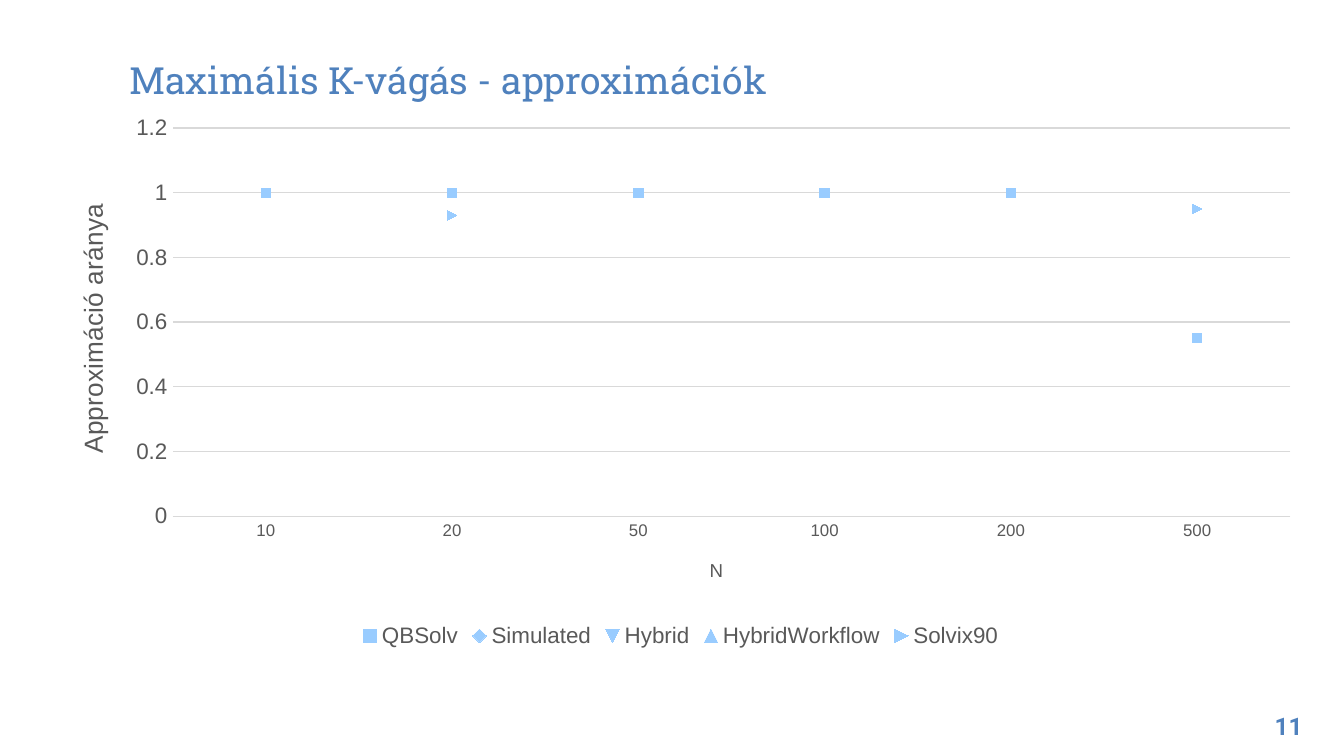
"""Build the slide on approximation ratios for the maximum K-cut problem."""
import dataclasses
import typing

import lxml.etree
import pptx
import pptx.chart.data
import pptx.dml.color
import pptx.enum.chart
import pptx.enum.text
import pptx.oxml.ns
import pptx.util

Inches = pptx.util.Inches
qn = pptx.oxml.ns.qn


@dataclasses.dataclass(frozen=True)
class Theme:
    accent: str = "4F81BD"
    marker: str = "99CCFF"
    grey: str = "595959"
    grid: str = "D9D9D9"
    title_font: str = "Roboto Slab"
    number_font: str = "Roboto"
    chart_font: str = "Arial"
    title_size: int = 20
    value_title_size: int = 14
    number_size: int = 13
    label_size: int = 12
    chart_size: int = 10
    category_size: int = 9
    marker_size: int = 5


class Box(typing.NamedTuple):
    left: float
    top: float
    width: float
    height: float

    def lengths(self) -> list:
        return [Inches(value) for value in self]


class Solver(typing.NamedTuple):
    name: str
    ratios: tuple


THEME = Theme()
SIZES = ("10", "20", "50", "100", "200", "500")
ANNEALED = (1, 1, 1, 1, 1, 0.55)
SOLVERS = [Solver(name, ANNEALED) for name in
           ("QBSolv", "Simulated", "Hybrid", "HybridWorkflow")]
SOLVERS.append(Solver("Solvix90", (1, 0.93, 1, 1, 1, 0.95)))


def color(value: str) -> pptx.dml.color.RGBColor:
    return pptx.dml.color.RGBColor.from_string(value)


def style_font(font, *, name: str, size: int, shade: str, bold: bool = False) -> None:
    font.name = name
    font.size = pptx.util.Pt(size)
    font.bold = bold
    font.color.rgb = color(shade)


def write_text(frame, text: str, *, align=pptx.enum.text.PP_ALIGN.LEFT,
               anchor=pptx.enum.text.MSO_ANCHOR.TOP, **font) -> None:
    frame.word_wrap = True
    frame.auto_size = pptx.enum.text.MSO_AUTO_SIZE.NONE
    frame.vertical_anchor = anchor
    frame.margin_left = frame.margin_right = Inches(0.1)
    frame.margin_top = frame.margin_bottom = Inches(0.1)
    para = frame.paragraphs[0]
    para.alignment = align
    span = para.add_run()
    span.text = text
    style_font(span.font, **font)


def set_layout(owner, **fractions: float) -> None:
    for old in owner.findall(qn("c:layout")):
        owner.remove(old)
    layout = lxml.etree.Element(qn("c:layout"))
    manual = lxml.etree.SubElement(layout, qn("c:manualLayout"))
    settings = {"xMode": "edge", "yMode": "edge", **fractions}
    if "w" in fractions:
        settings = {"layoutTarget": "inner", **settings}
    for key, value in settings.items():
        lxml.etree.SubElement(manual, qn(f"c:{key}")).set("val", str(value))
    owner.insert(0 if owner.find(qn("c:tx")) is None else 1, layout)


def style_axis(axis, title: str, *, size: int, title_size: int,
               x: float, y: float) -> None:
    axis.major_tick_mark = axis.minor_tick_mark = pptx.enum.chart.XL_TICK_MARK.NONE
    style_font(axis.tick_labels.font, name=THEME.chart_font, size=size, shade=THEME.grey)
    span = axis.axis_title.text_frame.paragraphs[0].add_run()
    span.text = title
    style_font(span.font, name=THEME.chart_font, size=title_size, shade=THEME.grey)
    set_layout(axis.axis_title._element, x=x, y=y)


def style_line(line) -> None:
    line.color.rgb = color(THEME.grid)
    line.width = pptx.util.Pt(0.75)


def style_series(series) -> None:
    series.smooth = False
    series.format.line.fill.background()
    series.marker.size = THEME.marker_size
    series.marker.format.fill.solid()
    series.marker.format.fill.fore_color.rgb = color(THEME.marker)
    series.marker.format.line.fill.background()


def add_ratio_chart(page, box: Box) -> None:
    data = pptx.chart.data.CategoryChartData()
    data.categories = SIZES
    for solver in SOLVERS:
        data.add_series(solver.name, solver.ratios)
    kind = pptx.enum.chart.XL_CHART_TYPE.LINE_MARKERS
    chart = page.shapes.add_chart(kind, *box.lengths(), data).chart
    chart.has_title = False
    style_font(chart.font, name=THEME.chart_font, size=THEME.chart_size, shade="000000")
    chart.plots[0].vary_by_categories = False
    for series in chart.plots[0].series:
        style_series(series)

    style_axis(chart.category_axis, "N", size=THEME.category_size,
               title_size=THEME.chart_size, x=0.52, y=0.82)
    style_line(chart.category_axis.format.line)
    values = chart.value_axis
    style_axis(values, "Approximáció aránya", size=THEME.label_size,
               title_size=THEME.value_title_size, x=0.02, y=0.17)
    values.axis_title._element.find(".//" + qn("a:bodyPr")).set("rot", "-5400000")
    values.format.line.fill.background()
    values.minimum_scale, values.maximum_scale, values.major_unit = 0, 1.2, 0.2
    values.has_major_gridlines = True
    style_line(values.major_gridlines.format.line)

    chart.has_legend = True
    chart.legend.position = pptx.enum.chart.XL_LEGEND_POSITION.BOTTOM
    chart.legend.include_in_layout = False
    style_font(chart.legend.font, name=THEME.chart_font, size=THEME.label_size,
               shade=THEME.grey)
    plot_area = chart._chartSpace.find(".//" + qn("c:plotArea"))
    set_layout(plot_area, x=0.1, y=0.04, w=0.88, h=0.71)


def main() -> None:
    deck = pptx.Presentation()
    deck.slide_width = Inches(10)
    deck.slide_height = deck.slide_width * 9 // 16
    page = deck.slides.add_slide(deck.slide_layouts[5])
    title = page.shapes.title
    title.left, title.top, title.width, title.height = Box(0.86, 0.34, 8.28, 0.52).lengths()
    write_text(title.text_frame, "Maximális K-vágás - approximációk",
               anchor=pptx.enum.text.MSO_ANCHOR.BOTTOM, name=THEME.title_font,
               size=THEME.title_size, shade=THEME.accent)
    number = page.shapes.add_textbox(*Box(9.19, 5.19, 0.6, 0.43).lengths())
    write_text(number.text_frame, "11", align=pptx.enum.text.PP_ALIGN.RIGHT,
               name=THEME.number_font, size=THEME.number_size, shade=THEME.accent, bold=True)
    add_ratio_chart(page, Box(0.34, 0.79, 9.45, 4.07))
    deck.save("out.pptx")


if __name__ == "__main__":
    main()
